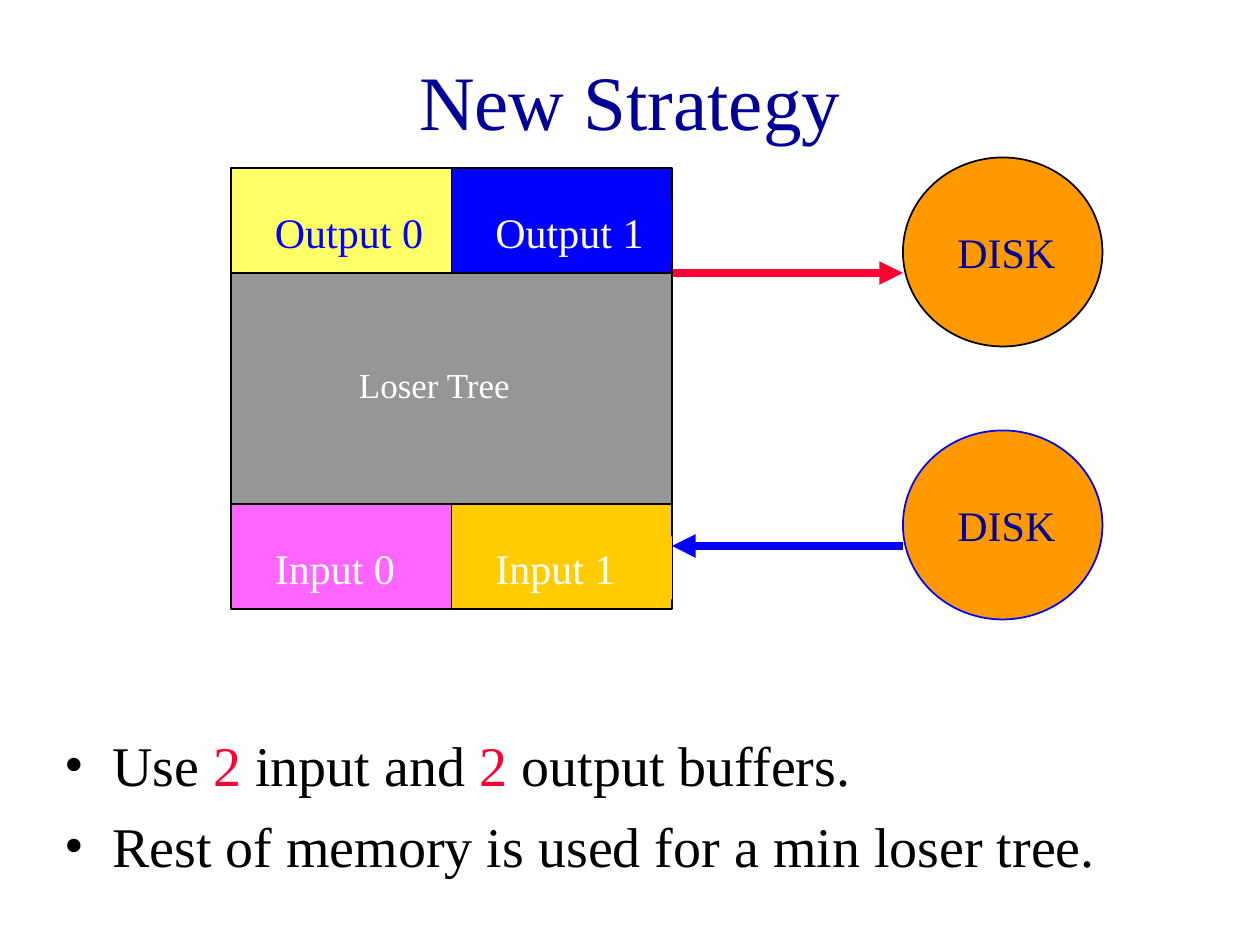
from lxml.etree import SubElement
from pptx import Presentation
from pptx.dml.color import RGBColor
from pptx.enum.shapes import MSO_CONNECTOR, MSO_SHAPE
from pptx.enum.text import MSO_ANCHOR, PP_ALIGN
from pptx.oxml.ns import qn
from pptx.util import Pt

EMU_PER_PX = 7620  # 120 px to the inch
FONT = "Times New Roman"

BLACK = RGBColor(0x00, 0x00, 0x00)
WHITE = RGBColor(0xFF, 0xFF, 0xFF)
NAVY = RGBColor(0x00, 0x00, 0x99)
BLUE = RGBColor(0x00, 0x00, 0xFF)
RED = RGBColor(0xFF, 0x00, 0x33)
ORANGE = RGBColor(0xFF, 0x99, 0x00)
GOLD = RGBColor(0xFF, 0xCC, 0x00)
PINK = RGBColor(0xFF, 0x66, 0xFF)
YELLOW = RGBColor(0xFF, 0xFF, 0x66)
GRAY = RGBColor(0x96, 0x96, 0x96)


def px(*lengths):
    return [length * EMU_PER_PX for length in lengths]


def write_text(paragraph, text, size=24, color=NAVY, align=PP_ALIGN.LEFT, space_before=0):
    """Append a run to the paragraph and format both."""
    paragraph.alignment = align
    paragraph.space_before = Pt(space_before)
    run = paragraph.add_run()
    run.text = text
    run.font.name = FONT
    run.font.size = Pt(size)
    run.font.color.rgb = color


def add_shape(slide, kind, box, fill, line=BLACK):
    shape = slide.shapes.add_shape(kind, *px(*box))
    shape.shadow.inherit = False
    shape.fill.solid()
    shape.fill.fore_color.rgb = fill
    shape.line.color.rgb = line
    shape.line.width = Pt(1)
    return shape


def add_label(slide, box, text, fill=None, **text_format):
    label = slide.shapes.add_textbox(*px(*box))
    label.text_frame.word_wrap = True
    if fill is not None:
        label.fill.solid()
        label.fill.fore_color.rgb = fill
    write_text(label.text_frame.paragraphs[0], text, **text_format)


def add_arrow(slide, start, end, color):
    arrow = slide.shapes.add_connector(MSO_CONNECTOR.STRAIGHT, *px(*start, *end))
    arrow.line.color.rgb = color
    arrow.line.width = Pt(4.5)
    SubElement(arrow.line._get_or_add_ln(), qn("a:tailEnd"), type="triangle")
    SubElement(arrow._element.spPr, qn("a:effectLst"))


def add_disk(slide, box, line):
    left, top, width, height = box
    add_shape(slide, MSO_SHAPE.OVAL, box, ORANGE, line)
    add_label(slide, (left + 40, top + 60, 160, 60), "DISK", space_before=15)


def add_buffer(slide, box, text, fill, color, label_filled=True):
    left, top, width, height = box
    add_shape(slide, MSO_SHAPE.RECTANGLE, box, fill)
    add_label(slide, (left + 30, top + 31, width - 30, 60), text,
              fill=fill if label_filled else None, color=color, space_before=15)


def add_memory(slide, box):
    """Input buffers, output buffers and the loser tree between them."""
    left, top, width, height = box
    half, buffer_height = width // 2, 100
    middle, input_top = left + half, top + height - buffer_height
    add_buffer(slide, (middle, input_top, half, buffer_height), "Input 1", GOLD, WHITE)
    add_buffer(slide, (left, input_top, half, buffer_height), "Input 0", PINK, WHITE,
               label_filled=False)
    add_buffer(slide, (left, top, half, buffer_height), "Output 0", YELLOW, BLUE)
    add_buffer(slide, (middle, top, half, buffer_height), "Output 1", BLUE, WHITE)

    tree_top = top + buffer_height
    add_shape(slide, MSO_SHAPE.RECTANGLE,
              (left, tree_top, width, height - 2 * buffer_height), GRAY)
    add_label(slide, (left + 110, tree_top + 80, 220, 53), "Loser Tree",
              size=20, color=WHITE, space_before=12.5)


def add_title(slide, box, text):
    title = slide.shapes.title
    title.left, title.top, title.width, title.height = px(*box)
    title.text_frame.vertical_anchor = MSO_ANCHOR.MIDDLE
    write_text(title.text_frame.paragraphs[0], text, size=44, align=PP_ALIGN.CENTER)


def add_bullets(slide, box, bullets):
    """Each bullet is a list of (text, color) pairs."""
    frame = slide.shapes.add_textbox(*px(*box)).text_frame
    frame.word_wrap = True
    indent = px(45)[0]
    for index, parts in enumerate(bullets):
        paragraph = frame.add_paragraph() if index else frame.paragraphs[0]
        for text, color in parts:
            write_text(paragraph, text, size=32, color=color, space_before=8)
        properties = paragraph._p.get_or_add_pPr()
        properties.set("marL", str(indent))
        properties.set("indent", str(-indent))
        bullet_color = SubElement(properties, qn("a:buClr"))
        SubElement(bullet_color, qn("a:srgbClr"), val=str(BLACK))
        SubElement(properties, qn("a:buFont"), typeface=FONT)
        SubElement(properties, qn("a:buChar"), char="•")


def main():
    presentation = Presentation()
    presentation.slide_width, presentation.slide_height = px(1200, 900)
    slide = presentation.slides.add_slide(presentation.slide_layouts[5])

    add_title(slide, (90, 20, 1020, 150), "New Strategy")
    add_disk(slide, (860, 410, 190, 180), BLUE)
    add_arrow(slide, (860, 520), (640, 520), BLUE)
    add_disk(slide, (860, 150, 190, 180), BLACK)
    add_arrow(slide, (640, 260), (860, 260), RED)
    add_bullets(slide, (50, 690, 1100, 160), [
        [("Use ", BLACK), ("2", RED), (" input and ", BLACK), ("2", RED),
         (" output buffers.", BLACK)],
        [("Rest of memory is used for a min loser tree.", BLACK)],
    ])
    add_memory(slide, (220, 160, 420, 420))
    presentation.save("out.pptx")


if __name__ == "__main__":
    main()
